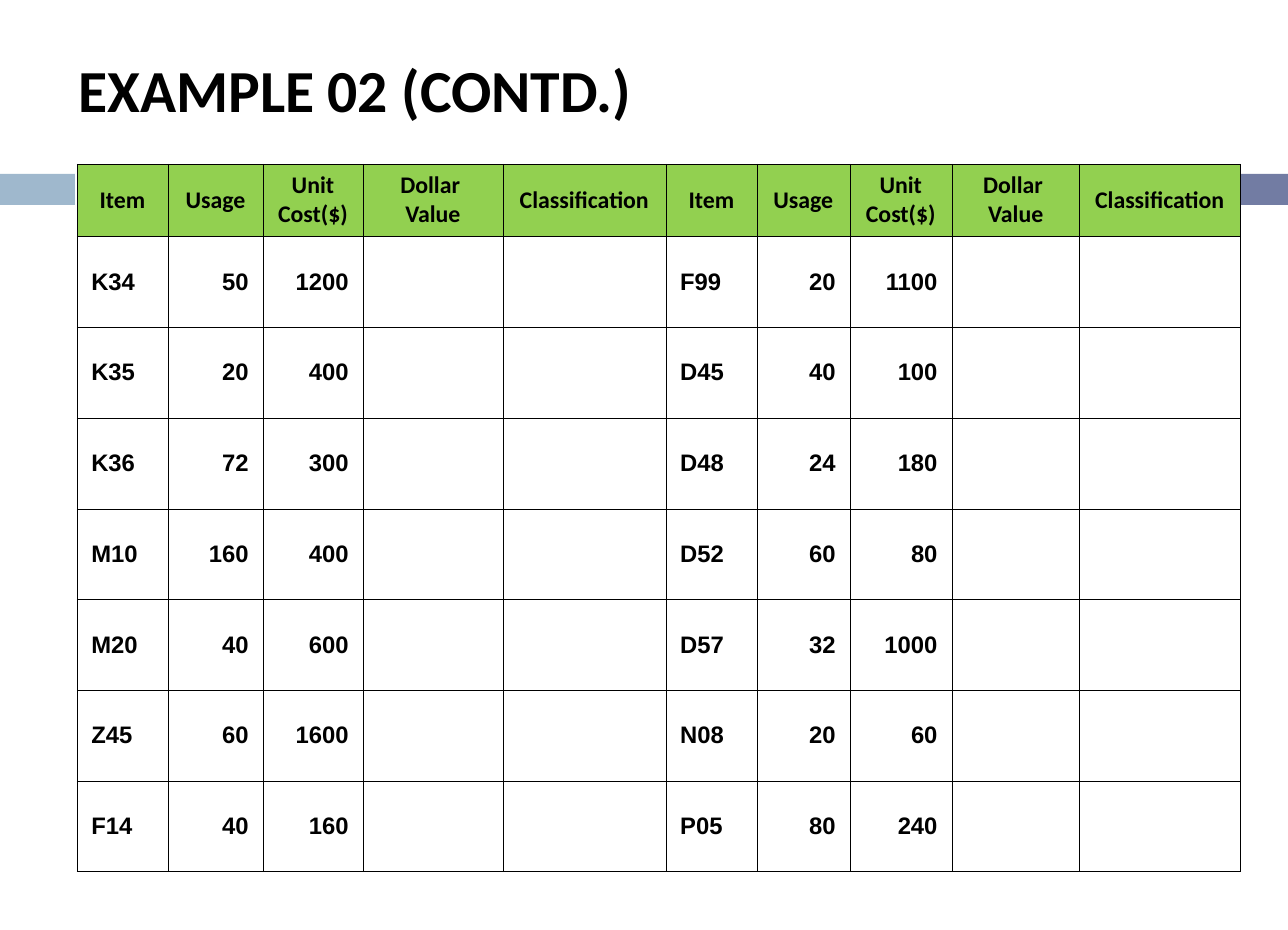
from dataclasses import dataclass

import pptx
import pptx.dml.color
import pptx.enum.shapes
import pptx.enum.text
import pptx.oxml
import pptx.oxml.ns
import pptx.util

SLIDE_WIDTH, SLIDE_HEIGHT = 1288, 930
EMU_PER_PX = pptx.util.Inches(9) / SLIDE_WIDTH
ALIGN = pptx.enum.text.PP_ALIGN
MIDDLE = pptx.enum.text.MSO_ANCHOR.MIDDLE


@dataclass(frozen=True)
class Theme:
    text: str = "000000"
    border: str = "000000"
    header_fill: str = "92D050"
    left_band: str = "9FB8CD"
    right_band: str = "727CA3"
    heading_font: str = "Calibri"
    body_font: str = "Arial"
    title_size: int = 30
    table_size: int = 12
    hairline: float = 0.06
    divider: float = 0.45


THEME = Theme()

TABLE_LEFT, TABLE_TOP = 77, 164
COLUMN_WIDTHS = [91, 95, 100, 140, 163, 91, 93, 102, 128, 160]
HEADER_HEIGHT, BODY_HEIGHT = 72, 635
DIVIDER_EDGES = {1, 9}  # column edges that carry the heavier rule

HEADERS = ["Item", "Usage", "Unit\nCost($)", "Dollar \nValue", "Classification"]
LEFT_ITEMS = [
    ("K34", "50", "1200"),
    ("K35", "20", "400"),
    ("K36", "72", "300"),
    ("M10", "160", "400"),
    ("M20", "40", "600"),
    ("Z45", "60", "1600"),
    ("F14", "40", "160"),
]
RIGHT_ITEMS = [
    ("F99", "20", "1100"),
    ("D45", "40", "100"),
    ("D48", "24", "180"),
    ("D52", "60", "80"),
    ("D57", "32", "1000"),
    ("N08", "20", "60"),
    ("P05", "80", "240"),
]
TO_FILL_IN = ("", "")


def px(length):
    return pptx.util.Emu(round(length * EMU_PER_PX))


def rgb(value):
    return pptx.dml.color.RGBColor.from_string(value)


def write_text(text_frame, text, font_name, size, alignment):
    """Write each line of the text as one bold paragraph."""
    for index, line in enumerate(text.split("\n")):
        paragraph = text_frame.paragraphs[0] if index == 0 else text_frame.add_paragraph()
        paragraph.alignment = alignment
        run = paragraph.add_run()
        run.text = line
        run.font.name = font_name
        run.font.size = pptx.util.Pt(size)
        run.font.bold = True
        run.font.color.rgb = rgb(THEME.text)


def add_band(slide, left, top, width, height, color):
    band = slide.shapes.add_shape(
        pptx.enum.shapes.MSO_SHAPE.RECTANGLE, px(left), px(top), px(width), px(height))
    band.shadow.inherit = False
    band.fill.solid()
    band.fill.fore_color.rgb = rgb(color)
    band.line.fill.background()


def set_title(slide, text):
    title = slide.shapes.title
    title.left, title.top, title.width, title.height = px(64), px(40), px(1146), px(97)
    title.text_frame.vertical_anchor = MIDDLE
    write_text(title.text_frame, text, THEME.heading_font, THEME.title_size, ALIGN.LEFT)


def set_borders(cell, column):
    """Rule all four sides; must run before the fill, which follows in the XML."""
    properties = cell._tc.get_or_add_tcPr()
    edges = {"lnL": column, "lnR": column + 1, "lnT": None, "lnB": None}
    for tag, edge in edges.items():
        points = THEME.divider if edge in DIVIDER_EDGES else THEME.hairline
        properties.append(pptx.oxml.parse_xml(
            f'<a:{tag} {pptx.oxml.ns.nsdecls("a")} w="{pptx.util.Pt(points)}">'
            f'<a:solidFill><a:srgbClr val="{THEME.border}"/></a:solidFill></a:{tag}>'))


def format_cell(cell, text, row, column):
    cell.vertical_anchor = MIDDLE
    set_borders(cell, column)
    if row == 0:
        cell.fill.solid()
        cell.fill.fore_color.rgb = rgb(THEME.header_fill)
        font_name, alignment = THEME.heading_font, ALIGN.CENTER
    else:
        cell.fill.background()
        is_item = column % len(HEADERS) == 0
        font_name, alignment = THEME.body_font, ALIGN.LEFT if is_item else ALIGN.RIGHT
    if text:
        write_text(cell.text_frame, text, font_name, THEME.table_size, alignment)


def add_item_table(slide):
    rows = [HEADERS * 2]
    rows += [left + TO_FILL_IN + right + TO_FILL_IN
             for left, right in zip(LEFT_ITEMS, RIGHT_ITEMS)]
    table = slide.shapes.add_table(
        len(rows), len(COLUMN_WIDTHS), px(TABLE_LEFT), px(TABLE_TOP),
        px(sum(COLUMN_WIDTHS)), px(HEADER_HEIGHT + BODY_HEIGHT)).table
    table.horz_banding = False
    for column, width in zip(table.columns, COLUMN_WIDTHS):
        column.width = px(width)
    for index, row in enumerate(table.rows):
        row.height = px(BODY_HEIGHT / len(LEFT_ITEMS) if index else HEADER_HEIGHT)
    for row, texts in enumerate(rows):
        for column, text in enumerate(texts):
            format_cell(table.cell(row, column), text, row, column)


def main():
    presentation = pptx.Presentation()
    presentation.slide_width, presentation.slide_height = px(SLIDE_WIDTH), px(SLIDE_HEIGHT)
    slide = presentation.slides.add_slide(presentation.slide_layouts[5])
    add_band(slide, 0, 174, 75, 31, THEME.left_band)
    add_band(slide, 83, 174, SLIDE_WIDTH - 83, 31, THEME.right_band)
    set_title(slide, "EXAMPLE 02 (CONTD.)")
    add_item_table(slide)
    presentation.save("out.pptx")


if __name__ == "__main__":
    main()
